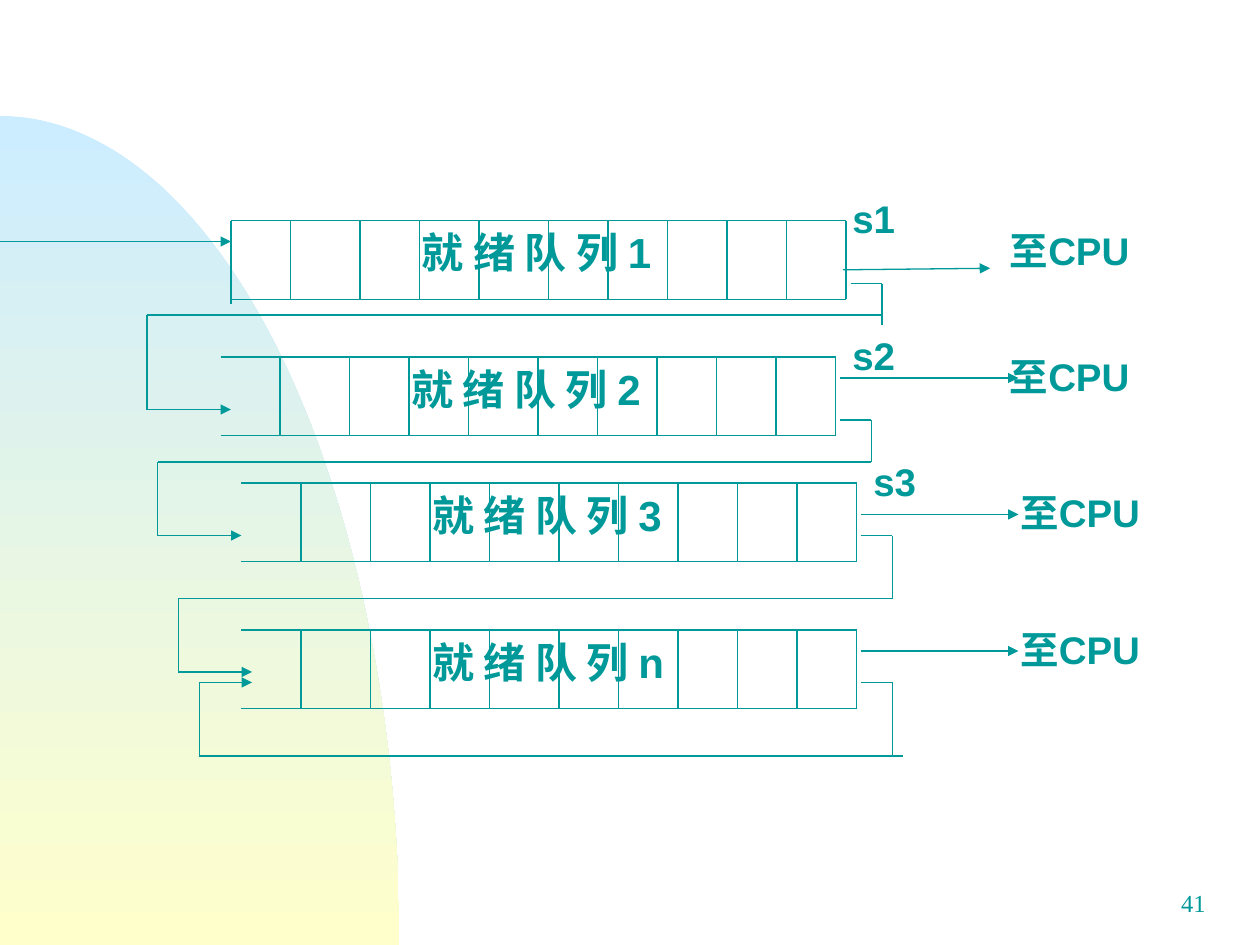
from itertools import accumulate, pairwise
from math import cos, pi, sin

from lxml.etree import SubElement
from pptx import Presentation
from pptx.dml.color import RGBColor
from pptx.enum.shapes import MSO_CONNECTOR
from pptx.enum.text import MSO_AUTO_SIZE, PP_ALIGN
from pptx.oxml.ns import qn
from pptx.util import Inches, Pt

TEAL = "009999"
GRID = 12
QUEUE_HEIGHT = 7.5
NARROW, WIDE = 5.67, 6.61
CELLS = [NARROW, WIDE, NARROW, NARROW, WIDE] + [NARROW] * 5

QUEUES = [
    ("就 绪 队 列 1", 22, 21),
    ("就 绪 队 列 2", 21, 34),
    ("就 绪 队 列 3", 23, 46),
    ("就 绪 队 列 n", 23, 60),
]
SLICES = [("s1", 80, 18), ("s2", 80, 31), ("s3", 82, 43)]
EXITS = [("至CPU", 95, 21), ("至CPU", 95, 33), ("至CPU", 96, 46), ("至CPU", 96, 59)]

ARROWS = [
    [(0, 23), (22, 23)],
    [(80.3, 25.7), (94.3, 25.55)],
    [(80, 36), (97, 36)],
    [(82, 49), (97, 49)],
    [(82, 62), (97, 62)],
    [(84, 30), (14, 30), (14, 39), (22, 39)],
    [(80, 40), (83, 40), (83, 44), (15, 44), (15, 51), (23, 51)],
    [(82, 51), (85, 51), (85, 57), (17, 57), (17, 64), (24, 64)],
    [(86, 72), (19, 72), (19, 65), (24, 65)],
]
PLAIN_LINES = [
    [(22, 21), (22, 29)],
    [(81, 27), (84, 27), (84, 31)],
    [(82, 65), (85, 65), (85, 72)],
]


def color(value):
    return RGBColor.from_string(value)


def grid(value):
    return Inches(value / GRID)


def add_route(page, points, arrow=False):
    for start, end in pairwise(points):
        line = page.shapes.add_connector(
            MSO_CONNECTOR.STRAIGHT, *map(grid, start + end))
        line.line.color.rgb = color(TEAL)
        line.line.width = Pt(0.75)
        if arrow and end == points[-1]:
            SubElement(line.line._get_or_add_ln(), qn("a:tailEnd"), type="triangle")
        SubElement(line._element.spPr, qn("a:effectLst"))


def add_label(page, text, left, top, width, height, size,
              name="Arial", bold=True, align=PP_ALIGN.LEFT):
    box = page.shapes.add_textbox(*map(grid, (left, top, width, height)))
    frame = box.text_frame
    frame.text = text
    frame.word_wrap = True
    frame.auto_size = MSO_AUTO_SIZE.NONE
    para = frame.paragraphs[0]
    para.alignment = align
    font = para.runs[0].font
    font.name, font.size, font.bold = name, Pt(size), bold
    font.color.rgb = color(TEAL)


def add_backdrop(page, width=3.17, height=6.58, bottom=7.5, steps=90):
    angles = [pi / 2 * step / steps for step in range(steps + 1)]
    arc = [(Inches(width * sin(a)), Inches(bottom - height * cos(a))) for a in angles]
    builder = page.shapes.build_freeform(0, Inches(bottom))
    builder.add_line_segments(arc, close=True)
    shape = builder.convert_to_shape()
    shape.shadow.inherit = False
    shape.line.fill.background()
    shape.fill.gradient()
    shape.fill.gradient_angle = 270
    for stop, value, position in zip(
            shape.fill.gradient_stops, ("CCECFF", "FFFFCC"), (0, 1)):
        stop.color.rgb = color(value)
        stop.position = position


def add_queue(page, title, left, top):
    edges = [left + offset for offset in accumulate(CELLS, initial=0)]
    bottom = top + QUEUE_HEIGHT
    for y in (top, bottom):
        add_route(page, [(left, y), (edges[-1], y)])
    for x in edges[1:]:
        add_route(page, [(x, top), (x, bottom)])
    add_label(page, title, left + 17, top, 25.5, 6, 24)


def main():
    deck = Presentation()
    deck.slide_width, deck.slide_height = Inches(10), Inches(7.5)
    page = deck.slides.add_slide(deck.slide_layouts[6])
    add_backdrop(page)
    for queue in QUEUES:
        add_queue(page, *queue)
    for points in ARROWS:
        add_route(page, points, arrow=True)
    for points in PLAIN_LINES:
        add_route(page, points)
    for text, left, top in SLICES + EXITS:
        add_label(page, text, left, top, 19, 5.6, 22)
    add_label(page, "41", 91, 84, 25, 6, 14, "Times New Roman", False, PP_ALIGN.RIGHT)
    deck.save("out.pptx")


if __name__ == "__main__":
    main()
